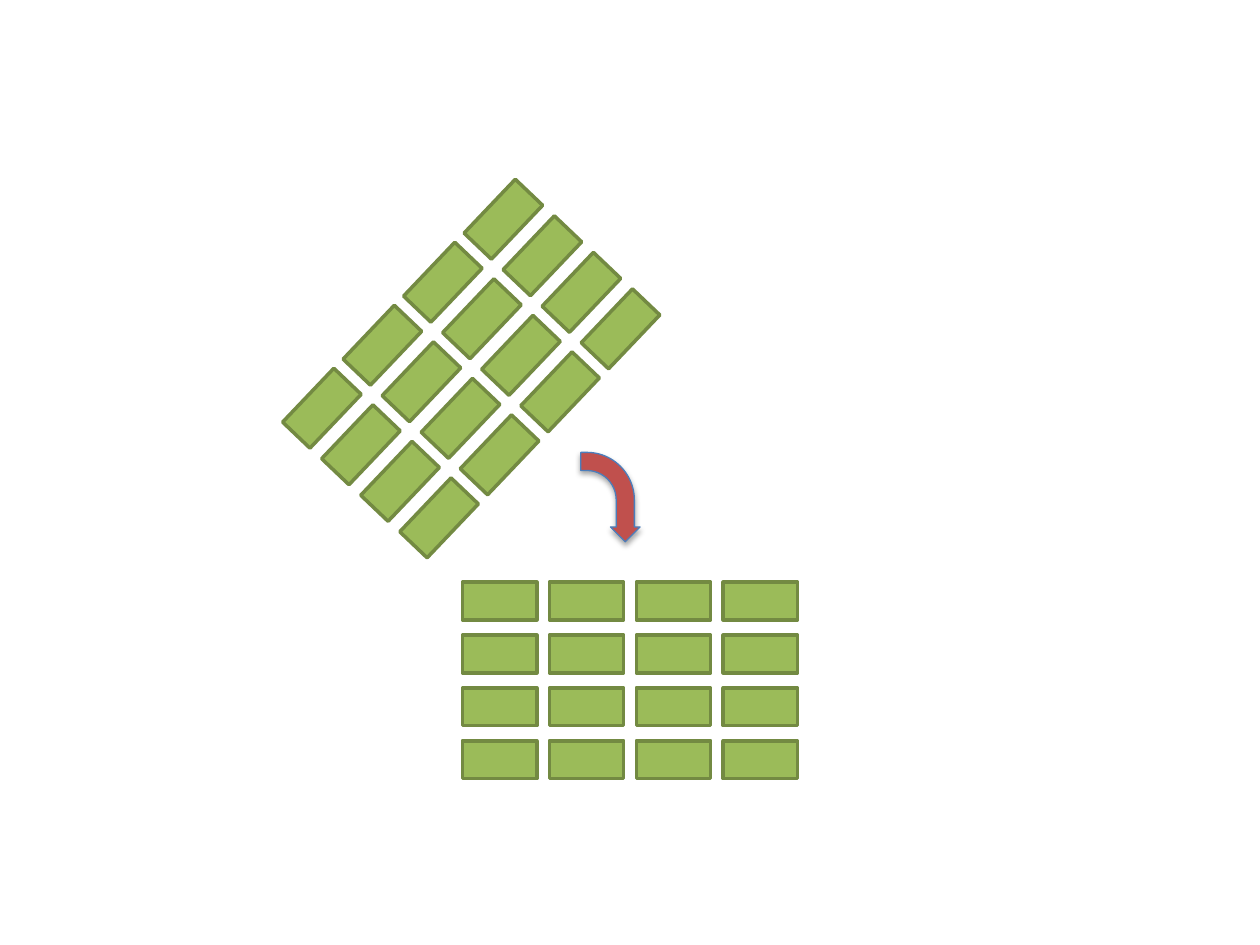
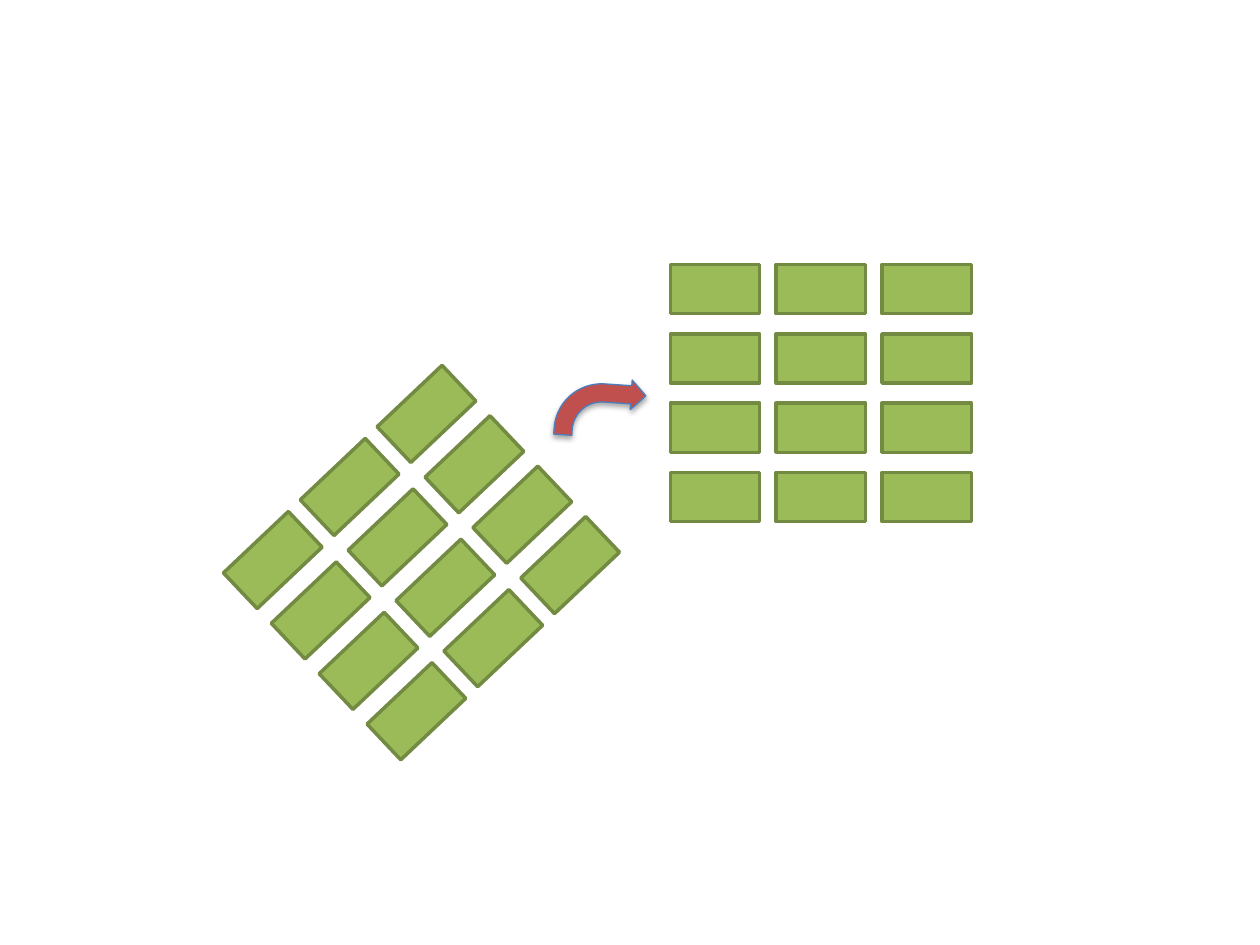
"""Build two slides that show a tilted grid of panels turned upright."""
from dataclasses import dataclass

from pptx import Presentation
from pptx.dml.color import RGBColor
from pptx.enum.shapes import MSO_SHAPE
from pptx.util import Inches, Pt

PANEL = MSO_SHAPE.RECTANGLE
TURN = MSO_SHAPE.BENT_ARROW
BLANK_LAYOUT = 6


@dataclass(frozen=True)
class Theme:
    """Colours, line widths and arrow proportions."""

    panel_fill: str = "9BBB59"
    panel_line: str = "738A42"
    panel_line_width: float = 2
    turn_fill: str = "C0504D"
    turn_line: str = "4B7EBC"
    turn_line_width: float = 0.75
    turn_size: tuple = (0.71, 0.47)
    turn_adjustments: tuple = (0.306, 0.25, 0.25, 0.803)


class Deck:
    """Holds the theme and the current slide."""

    def __init__(self, theme):
        """Start an empty presentation of 10 by 7.5 inches."""
        self.theme = theme
        self.presentation = Presentation()
        self.presentation.slide_width = Inches(10)
        self.presentation.slide_height = Inches(7.5)
        self.slide = None

    def new_slide(self):
        """Add a blank slide and make it current."""
        layout = self.presentation.slide_layouts[BLANK_LAYOUT]
        self.slide = self.presentation.slides.add_slide(layout)

    def shape(self, parent, kind, origin, size, angle, fill, line, line_width):
        """Add one filled and outlined shape."""
        lengths = [Inches(value) for value in (*origin, *size)]
        shape = parent.add_shape(kind, *lengths)
        shape.rotation = angle
        shape.fill.solid()
        shape.fill.fore_color.rgb = RGBColor.from_string(fill)
        shape.line.color.rgb = RGBColor.from_string(line)
        shape.line.width = Pt(line_width)
        return shape

    def panel_grid(self, origin, columns, column_step, row_step, size, angle=0, rows=4):
        """Add a group of equal panels, placed column by column."""
        theme = self.theme
        panels = self.slide.shapes.add_group_shape().shapes
        for column in range(columns):
            for row in range(rows):
                place = [
                    start + column * across + row * down
                    for start, across, down in zip(origin, column_step, row_step)
                ]
                panel = self.shape(panels, PANEL, place, size, angle, theme.panel_fill,
                                   theme.panel_line, theme.panel_line_width)
                panel.shadow.inherit = False

    def turn_arrow(self, origin, angle):
        """Add the bent arrow, which keeps the soft shadow of the theme."""
        theme = self.theme
        arrow = self.shape(self.slide.shapes, TURN, origin, theme.turn_size, angle,
                           theme.turn_fill, theme.turn_line, theme.turn_line_width)
        for index, value in enumerate(theme.turn_adjustments):
            arrow.adjustments[index] = value


def main():
    """Build both slides and save them."""
    deck = Deck(Theme())

    deck.new_slide()
    small_panel = (0.59, 0.3)
    deck.panel_grid((2.26, 3.09), 4, (0.48, -0.5), (0.31, 0.29), small_panel, 313.6)
    deck.panel_grid((3.67, 4.62), 4, (0.69, 0), (0, 0.42), small_panel)
    deck.turn_arrow((4.49, 3.71), 90)

    deck.new_slide()
    large_panel = (0.71, 0.39)
    deck.panel_grid((5.32, 2.1), 3, (0.84, 0), (0, 0.55), large_panel)
    deck.panel_grid((1.81, 4.25), 3, (0.61, -0.58), (0.38, 0.4), large_panel, 316.6)
    deck.turn_arrow((4.41, 3), 3.9)

    deck.presentation.save("out.pptx")


if __name__ == "__main__":
    main()
